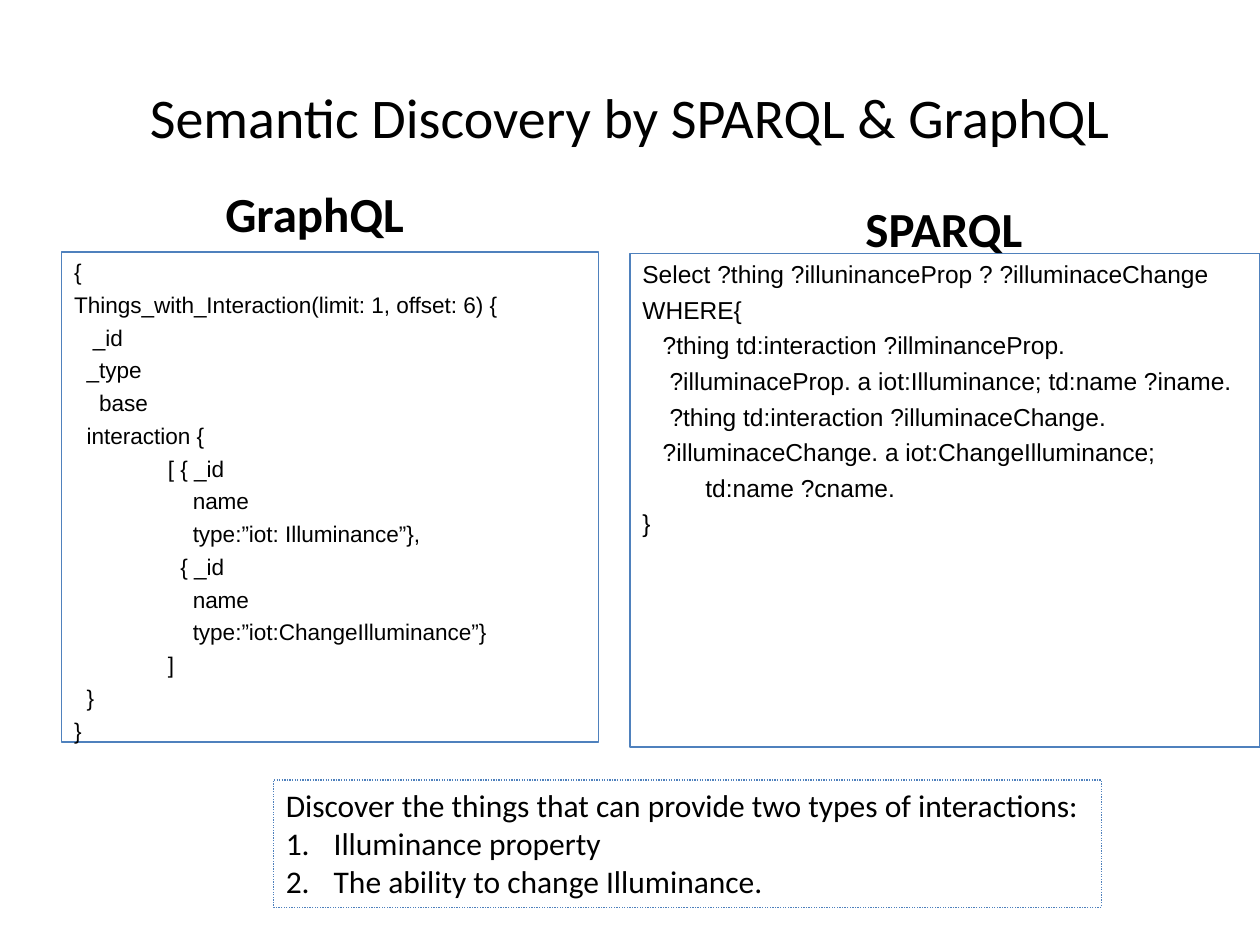
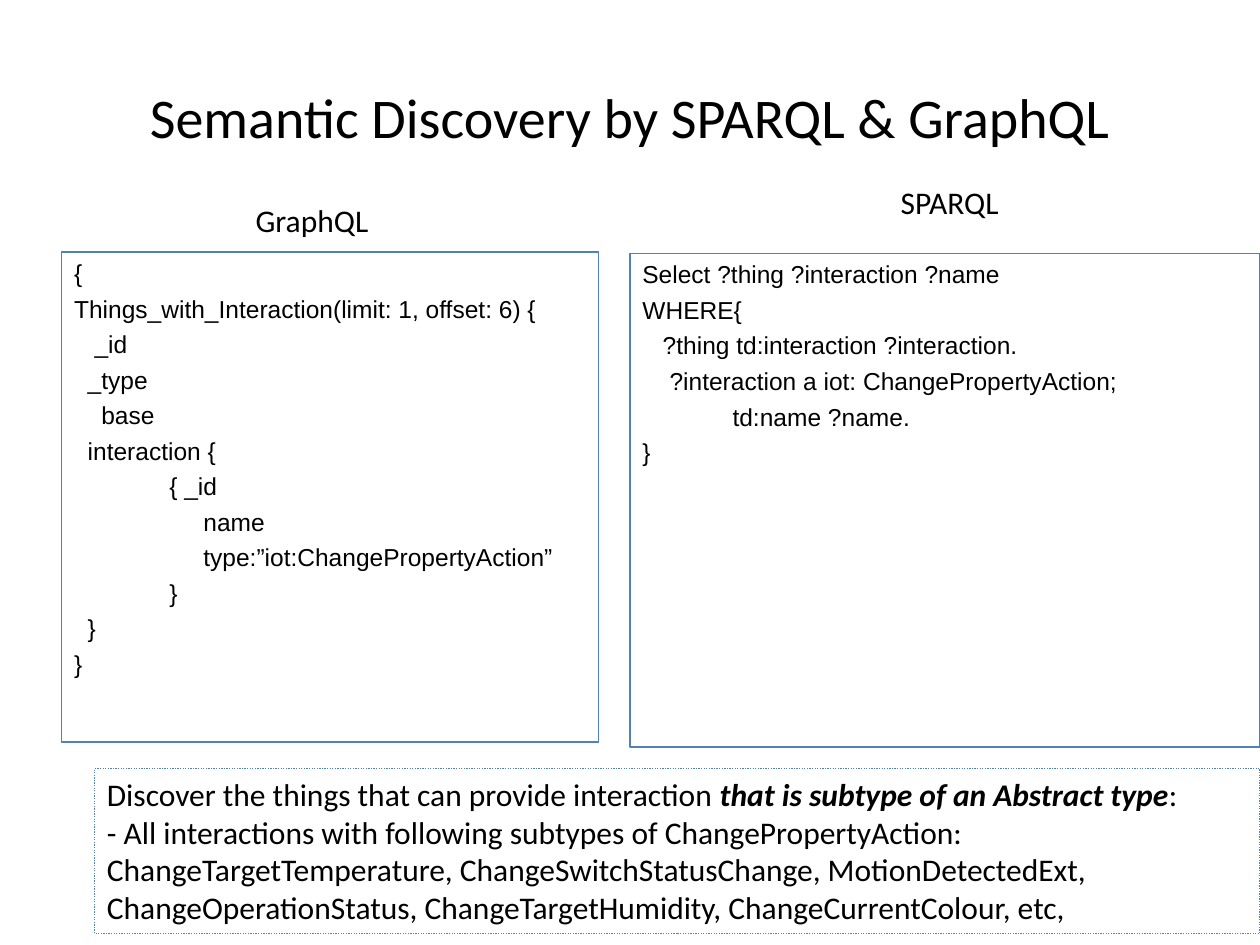
from dataclasses import dataclass
from pptx import Presentation
from pptx.dml.color import RGBColor
from pptx.enum.dml import MSO_LINE
from pptx.enum.shapes import MSO_SHAPE as Shape
from pptx.enum.text import MSO_ANCHOR as Anchor, MSO_AUTO_SIZE as AutoSize, PP_ALIGN as Align
from pptx.oxml.ns import qn
from pptx.util import Inches, Pt
from lxml import etree


@dataclass(frozen=True)
class Theme:
    ink: RGBColor = RGBColor(0x00, 0x00, 0x00)
    outline: RGBColor = RGBColor(0x4F, 0x81, 0xBD)
    outline_width: float = 0.75
    text_font: str = "Calibri"
    code_font: str = "Arial"
    title_size: float = 32
    big_heading_size: float = 28
    text_size: float = 18
    code_size: float = 14
    small_code_size: float = 12.9
    code_gap: float = 0.25  # space before a code line, as a share of its size


THEME = Theme()
TITLE = "Semantic Discovery by SPARQL & GraphQL"
TITLE_BOX = (0.5, 0.3, 9, 1.25)
GRAPHQL_BOX = (0.49, 2, 4.26, 3.89)
SPARQL_BOX = (5, 2.01, 5, 3.92)

INTERACTION_GRAPHQL = """{
Things_with_Interaction(limit: 1, offset: 6) {
   _id
  _type
    base
  interaction {
               [ { _id
                   name
                   type:”iot: Illuminance”},
                 { _id
                   name
                   type:”iot:ChangeIlluminance”}
               ]
  }
}"""

INTERACTION_SPARQL = """Select ?thing ?illuninanceProp ? ?illuminaceChange
WHERE{
   ?thing td:interaction ?illminanceProp.
    ?illuminaceProp. a iot:Illuminance; td:name ?iname.
    ?thing td:interaction ?illuminaceChange.
   ?illuminaceChange. a iot:ChangeIlluminance;
\ttd:name ?cname.
}"""

SUBTYPE_GRAPHQL = """{
Things_with_Interaction(limit: 1, offset: 6) {
   _id
  _type
    base
  interaction {
              { _id
                   name
                   type:”iot:ChangePropertyAction”
              }
  }
}"""

SUBTYPE_SPARQL = """Select ?thing ?interaction ?name
WHERE{
   ?thing td:interaction ?interaction.
    ?interaction a iot: ChangePropertyAction;
\t    td:name ?name.
}"""


def inches(box):
    return [Inches(length) for length in box]


def style(para, font, size, bold=False):
    for span in para.runs:
        span.font.name = font
        span.font.size = Pt(size)
        span.font.bold = bold
        span.font.color.rgb = THEME.ink


def number(para, indent=0.38):
    """Give the paragraph an automatic number and a hanging indent."""
    props = para._p.get_or_add_pPr()
    props.set("marL", str(Inches(indent)))
    props.set("indent", str(-Inches(indent)))
    etree.SubElement(props, qn("a:buAutoNum"), type="arabicPeriod")


def add_title(page):
    title = page.shapes.title
    title.left, title.top, title.width, title.height = inches(TITLE_BOX)
    frame = title.text_frame
    frame.text = TITLE
    frame.vertical_anchor = Anchor.MIDDLE
    frame.auto_size = AutoSize.NONE
    frame.paragraphs[0].alignment = Align.CENTER
    style(frame.paragraphs[0], THEME.text_font, THEME.title_size)


def add_heading(page, box, text, size, bold):
    frame = page.shapes.add_textbox(*inches(box)).text_frame
    frame.word_wrap = False
    frame.text = text
    style(frame.paragraphs[0], THEME.text_font, size, bold)


def add_outlined_box(page, box, text, font, size):
    """Add an unfilled, outlined box and return it with its text set."""
    shape = page.shapes.add_shape(Shape.RECTANGLE, *inches(box))
    shape.shadow.inherit = False
    shape.fill.background()
    shape.line.color.rgb = THEME.outline
    shape.line.width = Pt(THEME.outline_width)
    frame = shape.text_frame
    frame.word_wrap = True
    frame.vertical_anchor = Anchor.TOP
    frame.text = text
    for para in frame.paragraphs:
        para.alignment = Align.LEFT
        style(para, font, size)
    return shape


def add_code(page, box, code, size):
    panel = add_outlined_box(page, box, code, THEME.code_font, size)
    for para in panel.text_frame.paragraphs[1:]:
        para.space_before = Pt(size * THEME.code_gap)


def add_note(page, box, text):
    note = add_outlined_box(page, box, text, THEME.text_font, THEME.text_size)
    note.line.dash_style = MSO_LINE.ROUND_DOT
    return note.text_frame.paragraphs


def add_query_page(deck, graphql, sparql, graphql_size):
    page = deck.slides.add_slide(deck.slide_layouts[5])
    add_title(page)
    add_code(page, GRAPHQL_BOX, graphql, graphql_size)
    add_code(page, SPARQL_BOX, sparql, THEME.code_size)
    return page


def add_interaction_page(deck):
    page = add_query_page(deck, INTERACTION_GRAPHQL, INTERACTION_SPARQL,
                          THEME.small_code_size)
    paras = add_note(page, (2.17, 6.19, 6.57, 1.01),
                     "Discover the things that can provide two types of interactions:\n"
                     "Illuminance property\n"
                     "The ability to change Illuminance.")
    for para in paras[1:]:
        number(para)
    add_heading(page, (1.69, 1.41, 1.64, 0.57), "GraphQL", THEME.big_heading_size, True)
    add_heading(page, (6.77, 1.53, 1.46, 0.57), "SPARQL", THEME.big_heading_size, True)


def add_subtype_page(deck):
    page = add_query_page(deck, SUBTYPE_GRAPHQL, SUBTYPE_SPARQL, THEME.code_size)
    lead = add_note(page, (0.75, 6.1, 9.25, 1.31),
                    "Discover the things that can provide interaction \n"
                    "- All interactions with following subtypes of ChangePropertyAction: "
                    "ChangeTargetTemperature, ChangeSwitchStatusChange, MotionDetectedExt, "
                    "ChangeOperationStatus, ChangeTargetHumidity, ChangeCurrentColour, etc,")[0]
    for text in ("that is subtype of an Abstract type", ":"):
        lead.add_run().text = text
    style(lead, THEME.text_font, THEME.text_size)
    emphasis = lead.runs[1].font
    emphasis.bold = emphasis.italic = True
    add_heading(page, (1.93, 1.55, 1.11, 0.4), "GraphQL", THEME.text_size, False)
    add_heading(page, (7.05, 1.4, 0.99, 0.4), "SPARQL", THEME.text_size, False)


def main():
    deck = Presentation()
    deck.slide_width, deck.slide_height = Inches(10), Inches(7.5)
    add_interaction_page(deck)
    add_subtype_page(deck)
    deck.save("out.pptx")


if __name__ == "__main__":
    main()
